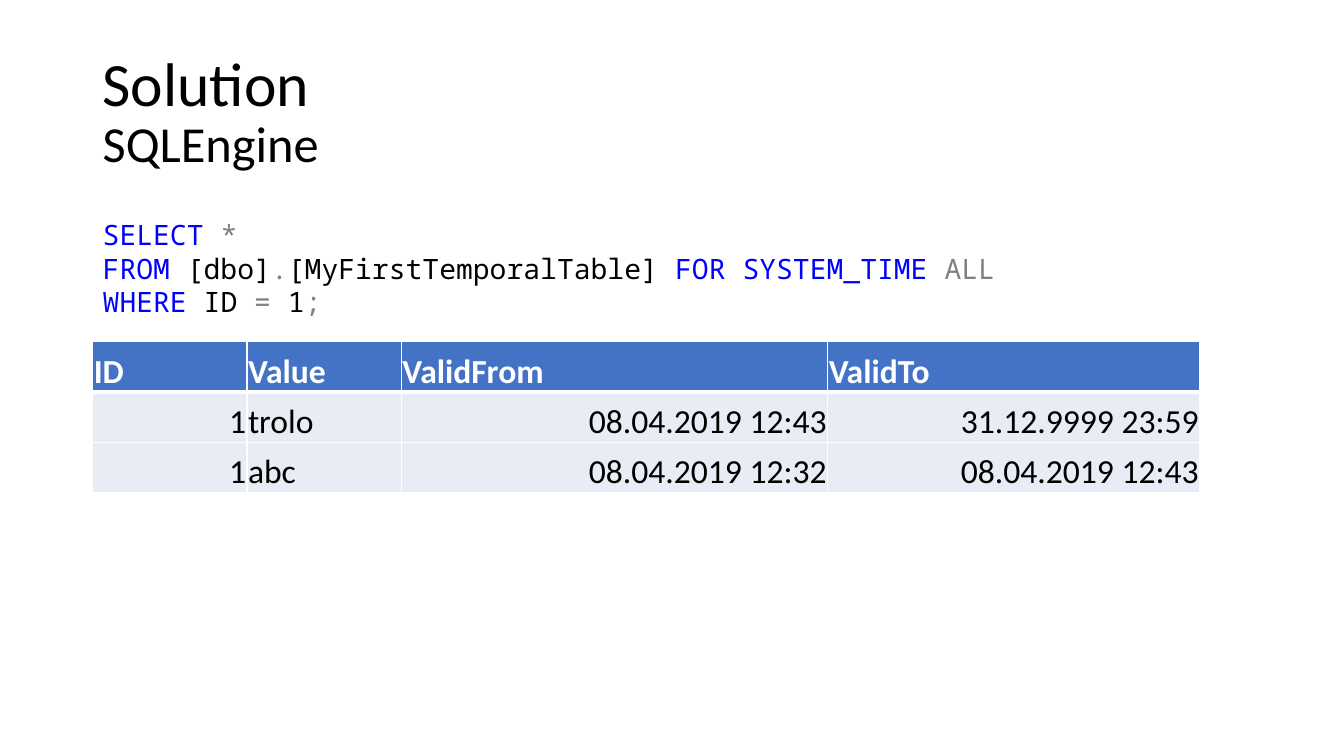
from lxml import etree
from pptx import Presentation
from pptx import util as u
from pptx.dml.color import RGBColor
from pptx.enum import text
from pptx.oxml import ns

# Content
HEADING = [("Solution", 44), ("SQLEngine", 36)]
KEYWORD, PLAIN, SYMBOL = "0000FF", "000000", "808080"
QUERY = [
    [("SELECT", KEYWORD), (" ", PLAIN), ("*", SYMBOL)],
    [("FROM", KEYWORD), (" [dbo]", PLAIN), (".", SYMBOL),
     ("[MyFirstTemporalTable] ", PLAIN), ("FOR", KEYWORD), (" ", PLAIN),
     ("SYSTEM_TIME", KEYWORD), (" ", PLAIN), ("ALL", SYMBOL)],
    [("WHERE", KEYWORD), (" ID ", PLAIN), ("=", SYMBOL), (" 1", PLAIN),
     (";", SYMBOL)],
]
HISTORY = [
    ("ID", "Value", "ValidFrom", "ValidTo"),
    ("1", "trolo", "08.04.2019 12:43", "31.12.9999 23:59"),
    ("1", "abc", "08.04.2019 12:32", "08.04.2019 12:43"),
]
COLUMN_WIDTHS = (1.53, 1.53, 4.23, 3.69)
ROW_HEIGHT = 0.5
LEFT = 0.92
WHITE, HEADER_FILL, BODY_FILL = "FFFFFF", "4472C4", "E9EBF5"
CELL_FORMAT = {
    "vertical_anchor": text.MSO_ANCHOR.BOTTOM,
    "margin_left": u.Inches(0.01), "margin_right": u.Inches(0.01),
    "margin_top": u.Inches(0.01), "margin_bottom": 0,
}


def rgb(value):
    return RGBColor.from_string(value)


def add_run(paragraph, words, size, font, color, bold=False):
    run = paragraph.add_run()
    run.text = words
    run.font.color.rgb = rgb(color)
    for key, value in {"size": u.Pt(size), "name": font, "bold": bold}.items():
        setattr(run.font, key, value)


def add_box(slide, top, width, height, anchor):
    box = slide.shapes.add_textbox(*map(u.Inches, (LEFT, top, width, height)))
    box.text_frame.word_wrap = True
    box.text_frame.vertical_anchor = anchor
    return box.text_frame


def add_border(cell, side, points):
    line = etree.SubElement(cell._tc.get_or_add_tcPr(), ns.qn("a:ln" + side),
                            w=str(u.Pt(points)))
    fill = etree.SubElement(line, ns.qn("a:solidFill"))
    etree.SubElement(fill, ns.qn("a:srgbClr"), val=WHITE)


def main():
    prs = Presentation()
    prs.slide_width, prs.slide_height = u.Inches(13.33), u.Inches(7.5)
    slide = prs.slides.add_slide(prs.slide_layouts[6])

    # Heading: two lines of one paragraph
    heading = add_box(slide, 0.4, 11.5, 1.45, text.MSO_ANCHOR.MIDDLE).paragraphs[0]
    heading.line_spacing = 0.9
    for i, (words, size) in enumerate(HEADING):
        if i:
            heading.add_line_break()
        add_run(heading, words, size, "Calibri", PLAIN)

    # Query with coloured syntax
    query = add_box(slide, 2.11, 9.81, 1.11, text.MSO_ANCHOR.TOP)
    for i, tokens in enumerate(QUERY):
        line = query.add_paragraph() if i else query.paragraphs[0]
        for words, color in tokens:
            add_run(line, words, 20, "Noto Sans Mono", color)

    # Row history
    history = slide.shapes.add_table(
        len(HISTORY), len(COLUMN_WIDTHS), u.Inches(LEFT), u.Inches(3.39),
        u.Inches(sum(COLUMN_WIDTHS)), u.Inches(ROW_HEIGHT * len(HISTORY))).table
    for column, width in zip(history.columns, COLUMN_WIDTHS):
        column.width = u.Inches(width)
    for r, values in enumerate(HISTORY):
        history.rows[r].height = u.Inches(ROW_HEIGHT)
        header = r == 0
        for c, value in enumerate(values):
            cell = history.cell(r, c)
            for key, setting in CELL_FORMAT.items():
                setattr(cell, key, setting)
            borders = {"L": 1, "R": 1, "T": 3 if r == 1 else 1,
                       "B": 3 if header else 1}
            for side, points in borders.items():
                add_border(cell, side, points)
            cell.fill.solid()
            cell.fill.fore_color.rgb = rgb(HEADER_FILL if header else BODY_FILL)
            paragraph = cell.text_frame.paragraphs[0]
            numeric = value[0].isdigit()
            paragraph.alignment = text.PP_ALIGN.RIGHT if numeric else text.PP_ALIGN.LEFT
            add_run(paragraph, value, 24, "Calibri",
                    WHITE if header else PLAIN, bold=header)

    prs.save("out.pptx")


if __name__ == "__main__":
    main()
